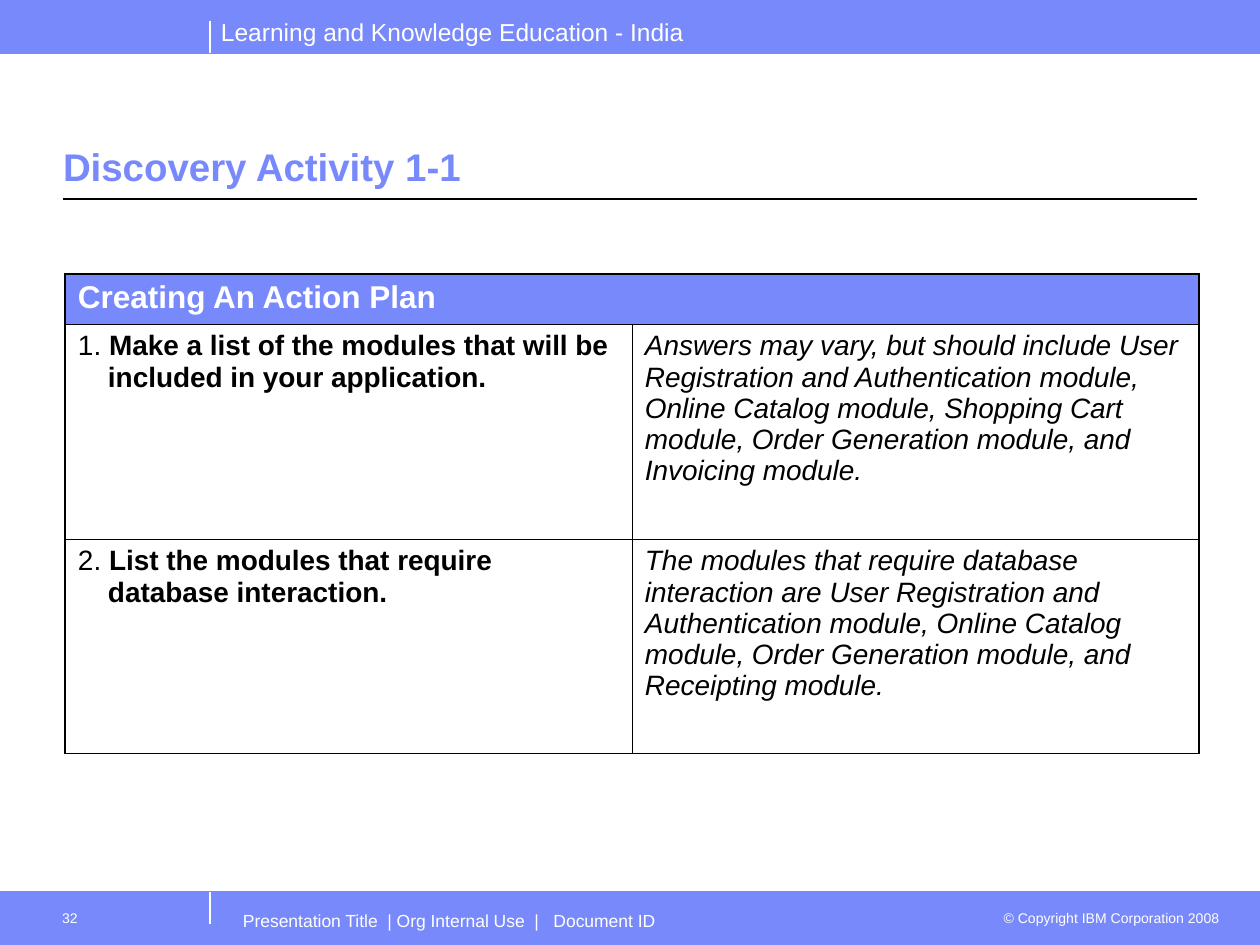
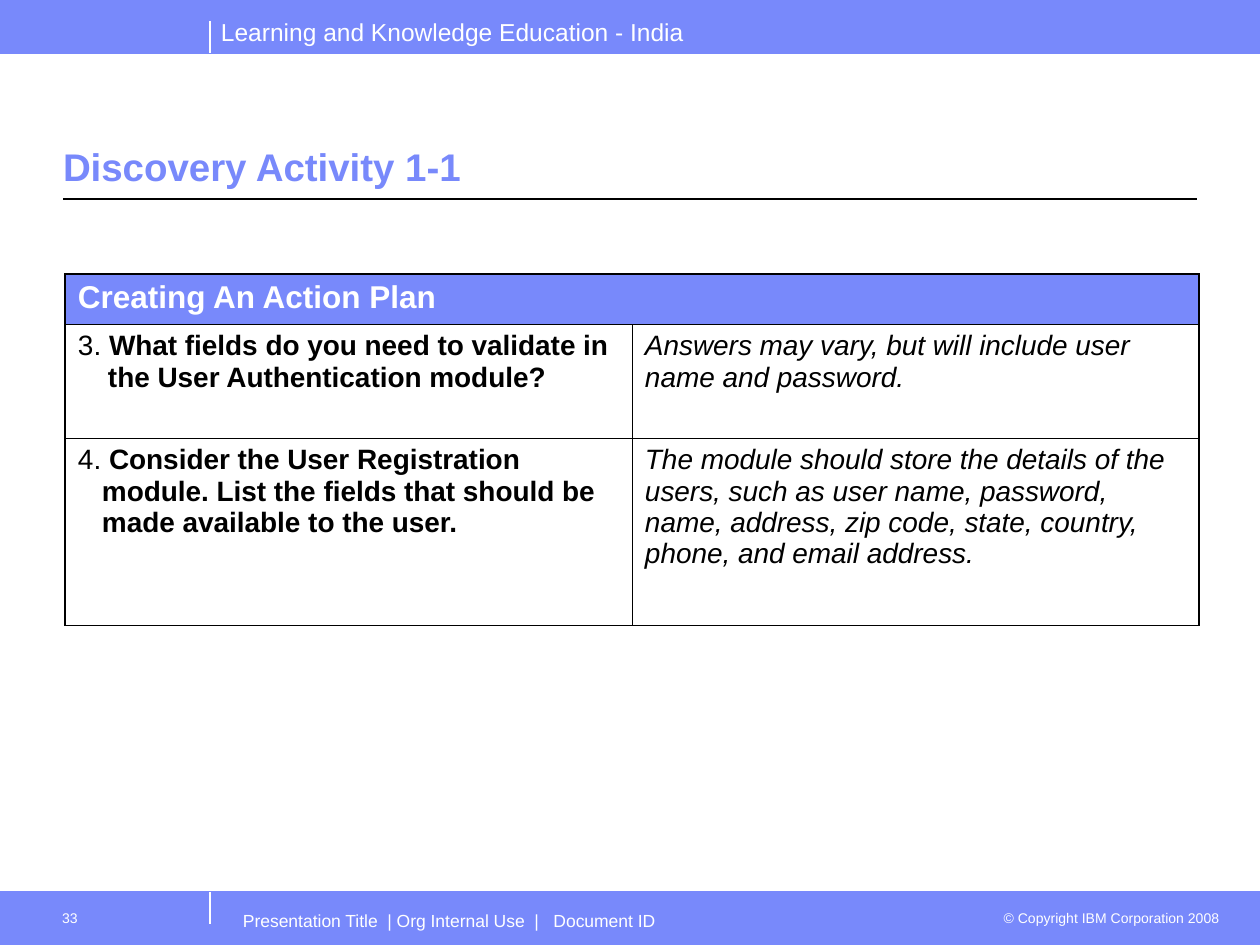
from lxml import etree
from pptx import Presentation
from pptx.dml.color import RGBColor
from pptx.enum.shapes import MSO_CONNECTOR, MSO_SHAPE
from pptx.enum.text import MSO_ANCHOR, MSO_AUTO_SIZE, PP_ALIGN
from pptx.oxml.ns import qn
from pptx.util import Emu, Pt

W, H = 1260, 945
BAND_H = 53
BLUE, WHITE, BLACK = "7889FB", "FFFFFF", "000000"
THICK, THIN = 1.08, 0.45
TABLE_X, TABLE_Y, COL_W, HEADER_H = 65, 274, 567, 50
TITLE = "Discovery Activity 1-1"
TABLE_HEADER = "Creating An Action Plan"

# Each row: number, question, answer, hanging indent (px), row height (px)
SLIDES = {
    32: [
        ("1. ", "Make a list of the modules that will be included in your application.",
         "Answers may vary, but should include User Registration and Authentication module, "
         "Online Catalog module, Shopping Cart module, Order Generation module, "
         "and Invoicing module.", 30, 215),
        ("2. ", "List the modules that require database interaction.",
         "The modules that require database interaction are User Registration and "
         "Authentication module, Online Catalog module, Order Generation module, "
         "and Receipting module.", 30, 214),
    ],
    33: [
        ("3. ", "What fields do you need to validate in the User Authentication module?",
         "Answers may vary, but will include user name and password.", 30, 114),
        ("4. ", "Consider the User Registration module. List the fields that should be "
         "made available to the user.",
         "The module should store the details of the users, such as user name, password, "
         "name, address, zip code, state, country, phone, and email address.", 24, 187),
    ],
}


def px(n):
    return Emu(round(n * 914400 / 126))


def rgb(color):
    return RGBColor.from_string(color)


def set_font(font, size, color, bold=False, italic=False):
    font.name, font.size = "Arial", Pt(size)
    font.bold, font.italic = bold, italic
    font.color.rgb = rgb(color)


def add_band(s, y):
    sp = s.shapes.add_shape(MSO_SHAPE.RECTANGLE, 0, px(y), px(W), px(BAND_H))
    sp.shadow.inherit = False
    sp.fill.solid()
    sp.fill.fore_color.rgb = rgb(BLUE)
    sp.line.color.rgb = rgb(BLUE)
    sp.line.width = Pt(0.75)


def add_line(s, x1, y1, x2, y2, color, width=0.75):
    ln = s.shapes.add_connector(MSO_CONNECTOR.STRAIGHT, px(x1), px(y1), px(x2), px(y2))
    ln.line.color.rgb = rgb(color)
    ln.line.width = Pt(width)
    etree.SubElement(ln._element.spPr, qn("a:effectLst"))


def add_label(s, x, y, w, h, text, size, left=13, top=6, align=PP_ALIGN.LEFT):
    tf = s.shapes.add_textbox(px(x), px(y), px(w), px(h)).text_frame
    tf.word_wrap = True
    tf.margin_left, tf.margin_top = px(left), px(top)
    p = tf.paragraphs[0]
    p.text, p.alignment = text, align
    set_font(p.font, size, WHITE)


def add_frame(s, number):
    """Draw the bands, rules and footer texts shared by all slides."""
    bottom = H - BAND_H
    add_band(s, bottom)
    add_band(s, 0)
    for y in (BAND_H, bottom):
        add_line(s, 0, y, W, y, BLUE, 0.5)
    for y in (21, bottom):
        add_line(s, 210, y, 210, y + 32, WHITE)
    add_line(s, 63, 199, 1197, 199, BLACK)
    add_label(s, 208, 11, 560, 43, "Learning and Knowledge Education - India", 14)
    add_label(s, 987, 904, 245, 30, "© Copyright IBM Corporation 2008", 8, align=PP_ALIGN.RIGHT)
    add_label(s, 230, 901, 756, 44,
              "Presentation Title  | Org Internal Use  |   Document ID", 10, top=9)
    add_label(s, 42, 901, 168, 44, str(number), 8, left=20, top=9)


def set_title(s, text):
    sp = s.shapes.title
    sp.left, sp.top, sp.width, sp.height = px(63), px(80), px(1134), px(116)
    tf = sp.text_frame
    tf.auto_size = MSO_AUTO_SIZE.NONE
    tf.vertical_anchor = MSO_ANCHOR.BOTTOM
    tf.margin_left = tf.margin_right = 0
    p = tf.paragraphs[0]
    p.text, p.alignment = text, PP_ALIGN.LEFT
    set_font(p.font, 22, BLUE, bold=True)


def set_borders(cell, **widths):
    """Give the cell black borders; widths in points by side, in the order L, R, T, B."""
    tcPr = cell._tc.get_or_add_tcPr()
    for side, width in widths.items():
        ln = etree.SubElement(tcPr, qn(f"a:ln{side}"), w=str(Pt(width)))
        fill = etree.SubElement(ln, qn("a:solidFill"))
        etree.SubElement(fill, qn("a:srgbClr"), val=BLACK)


def fill_question(p, number, question, indent):
    pPr = p._p.get_or_add_pPr()
    pPr.set("marL", str(px(indent)))
    pPr.set("indent", str(-px(indent)))
    for text, bold in ((number, False), (question, True)):
        r = p.add_run()
        r.text = text
        set_font(r.font, 16, BLACK, bold=bold)


def add_plan_table(s, rows):
    heights = [HEADER_H] + [row[-1] for row in rows]
    tbl = s.shapes.add_table(len(heights), 2, px(TABLE_X), px(TABLE_Y),
                             px(2 * COL_W), px(sum(heights))).table
    tbl.first_row = tbl.horz_banding = False
    last = len(rows)
    for i, height in enumerate(heights):
        tbl.rows[i].height = px(height)
        for j in range(2):
            cell = tbl.cell(i, j)
            set_borders(cell, L=THIN if j else THICK, R=THICK if j or i == 0 else THIN,
                        T=THIN if i else THICK, B=THICK if i == last else THIN)
            cell.margin_left = cell.margin_right = px(13)
            cell.fill.background()

    header = tbl.cell(0, 0)
    header.merge(tbl.cell(0, 1))
    header.fill.solid()
    header.fill.fore_color.rgb = rgb(BLUE)
    p = header.text_frame.paragraphs[0]
    p.text = TABLE_HEADER
    set_font(p.font, 18, WHITE, bold=True)

    for i, (number, question, answer, indent, _) in enumerate(rows, 1):
        fill_question(tbl.cell(i, 0).text_frame.paragraphs[0], number, question, indent)
        p = tbl.cell(i, 1).text_frame.paragraphs[0]
        p.text = answer
        set_font(p.font, 16, BLACK, italic=True)


def main():
    prs = Presentation()
    prs.slide_width, prs.slide_height = px(W), px(H)
    for number, rows in SLIDES.items():
        s = prs.slides.add_slide(prs.slide_layouts[5])
        add_frame(s, number)
        set_title(s, TITLE)
        add_plan_table(s, rows)
    prs.save("out.pptx")


if __name__ == "__main__":
    main()
